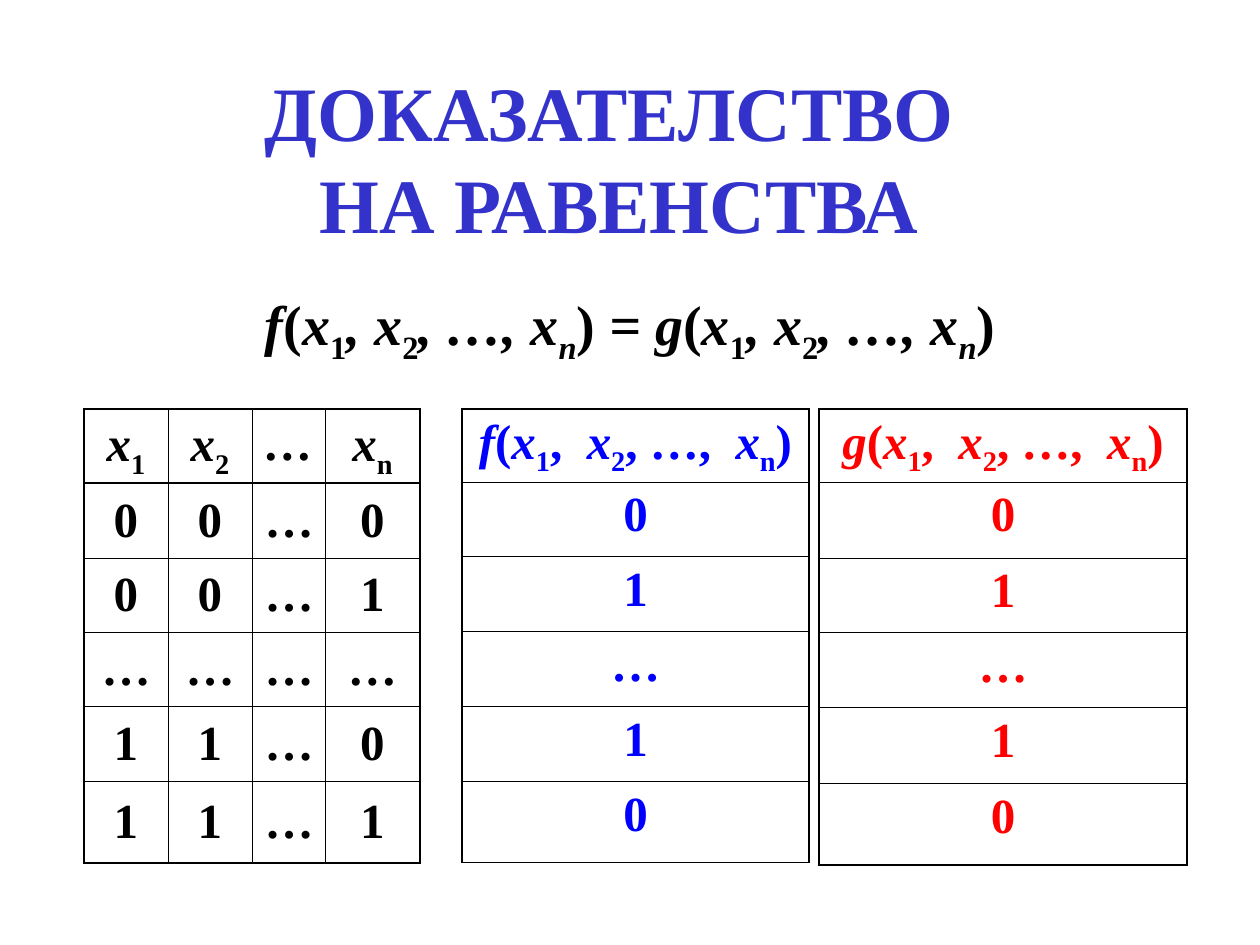
from lxml import etree
from pptx import Presentation
from pptx import util as u
from pptx.dml.color import RGBColor
from pptx.enum import text
from pptx.oxml.ns import qn

PX = 9144000 // 1260
FONT = "Times New Roman"
COLORS = {"title": "3333CC", "ink": "000000", "f": "0000FF", "g": "FF0000"}
THICK, THIN = u.Pt(1.08), u.Pt(0.45)
TOP = 409

# Kinds of run in a formula: "" upright, "i" italic, "s" subscript,
# "w" upright with widened letter spacing; kinds may be combined.
def arguments(name, comma):
    """Runs of a header such as f(x1, x2, …, xn) with upright punctuation."""
    return [(name, "i"), ("(", ""), ("x", "i"), ("1", "s"), (comma, "w"),
            ("x", "i"), ("2", "s"), (", …", ""), (comma, "w"),
            ("x", "i"), ("n", "s"), (")", "")]


def side(name):
    """Runs of one side of the equation."""
    return [(name, "i"), ("(", ""), ("x", "i"), ("1", "s"), (", x", "i"),
            ("2", "s"), (", …, x", "i"), ("n", "is"), (")", "")]


def write(paragraph, runs, size, color):
    paragraph.alignment = text.PP_ALIGN.CENTER
    font = paragraph.font
    font.name, font.size, font.bold = FONT, u.Pt(size), True
    font.color.rgb = RGBColor.from_string(COLORS[color])
    for content, kind in runs:
        run = paragraph.add_run()
        run.text = content
        if "i" in kind:
            run.font.italic = True
        if "s" in kind:
            run.font._element.set("baseline", "-25000")
        if "w" in kind:
            run.font._element.set("spc", "350")


def add_text_box(slide, box):
    frame = slide.shapes.add_textbox(*(length * PX for length in box)).text_frame
    frame.word_wrap = True
    return frame


def add_title(slide, box):
    frame = add_text_box(slide, box)
    frame.vertical_anchor = text.MSO_ANCHOR.MIDDLE
    paragraph = frame.paragraphs[0]
    paragraph.text = "ДОКАЗАТЕЛСТВО \vНА РАВЕНСТВА"
    write(paragraph, [], 44, "title")


def add_equation(slide, box):
    runs = side("f") + [(" = ", "i")] + side("g")
    write(add_text_box(slide, box).paragraphs[0], runs, 32, "ink")


def set_borders(cell, widths):
    """Draw the borders; widths are left, right, top, bottom."""
    properties = cell._tc.get_or_add_tcPr()
    for edge, width in zip("LRTB", widths):
        line = etree.SubElement(properties, qn(f"a:ln{edge}"), w=str(width))
        fill = etree.SubElement(line, qn("a:solidFill"))
        etree.SubElement(fill, qn("a:srgbClr"), val=COLORS["ink"])


def add_truth_table(slide, left, top, columns, rows, header, values, color,
                    anchor=text.MSO_ANCHOR.TOP, header_rule=THIN):
    shape = slide.shapes.add_table(len(rows), len(columns), left * PX, top * PX,
                                   sum(columns) * PX, sum(rows) * PX)
    table = shape.table
    table.first_row = table.horz_banding = False
    for column, width in zip(table.columns, columns):
        column.width = width * PX
    for row, height in zip(table.rows, rows):
        row.height = height * PX
    body = [[[(value, "")] for value in line] for line in values]
    across = [THICK] + [THIN] * (len(columns) - 1) + [THICK]
    down = [THICK, header_rule] + [THIN] * (len(rows) - 2) + [THICK]
    for r, line in enumerate([header] + body):
        for c, runs in enumerate(line):
            cell = table.cell(r, c)
            set_borders(cell, across[c:c + 2] + down[r:r + 2])
            cell.fill.background()
            cell.vertical_anchor = anchor
            paragraph = cell.text_frame.paragraphs[0]
            if r == 0:
                paragraph.line_spacing = 0.9
            write(paragraph, runs, 28, color)


def main():
    presentation = Presentation()
    presentation.slide_width, presentation.slide_height = 1260 * PX, 945 * PX
    slide = presentation.slides.add_slide(presentation.slide_layouts[6])

    add_title(slide, (84, 62, 1071, 189))
    add_equation(slide, (189, 283, 882, 105))

    variables = [[("x", "i"), ("1", "s")], [("x", "i"), ("2", "s")],
                 [("…", "i")], [("x", "i"), ("n", "s")]]
    add_truth_table(slide, 84, TOP, [84, 84, 73, 95], [74, 75, 74, 75, 75, 81],
                    variables, ["00…0", "00…1", "…………", "11…0", "11…1"], "ink",
                    text.MSO_ANCHOR.MIDDLE, THICK)
    for name, left, width, rows in (("f", 462, 347, [71, 75, 75, 75, 75, 81]),
                                    ("g", 819, 368, [69, 76, 75, 75, 76, 81])):
        add_truth_table(slide, left, TOP, [width], rows,
                        [arguments(name, ", ")], "01…10", name)

    presentation.save("out.pptx")


if __name__ == "__main__":
    main()
